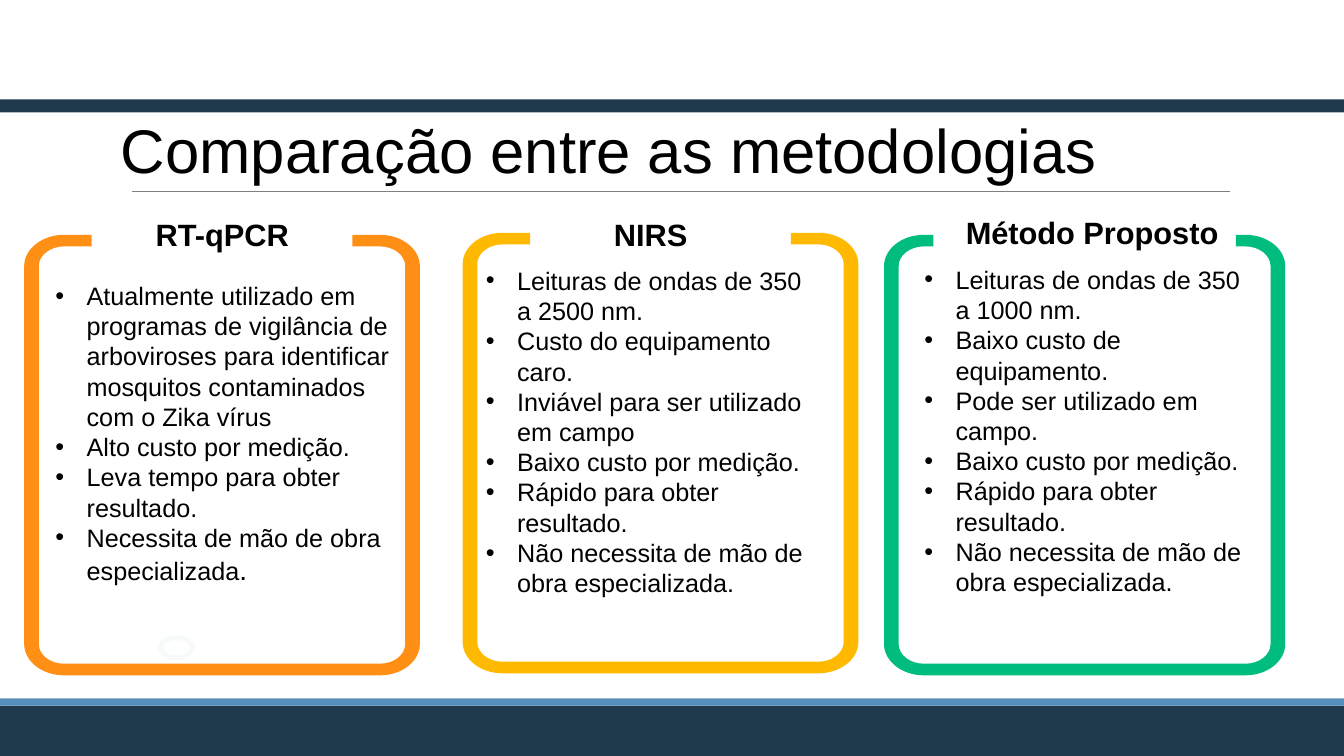
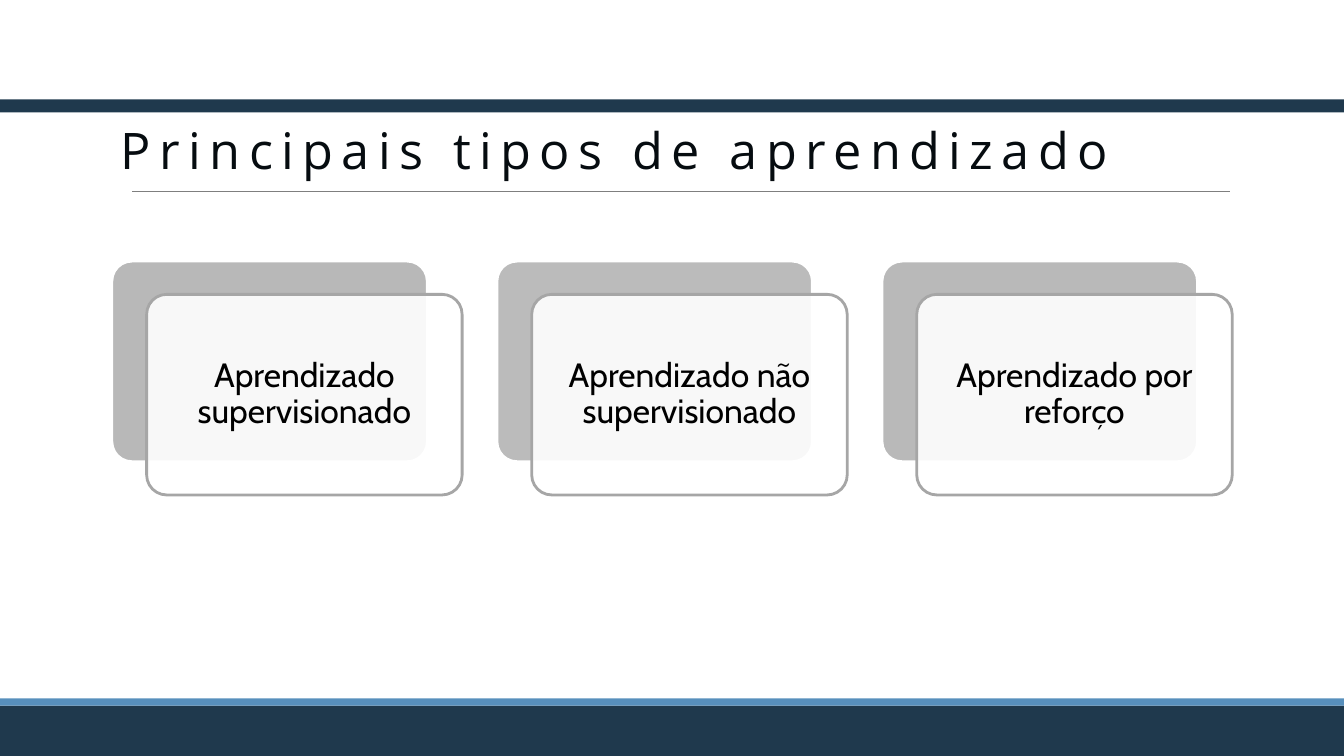
from copy import deepcopy
from dataclasses import dataclass

from lxml import etree
from pptx import Presentation
from pptx.dml.color import RGBColor
from pptx.enum.shapes import MSO_CONNECTOR, MSO_SHAPE
from pptx.enum.text import MSO_ANCHOR, MSO_AUTO_SIZE, PP_ALIGN
from pptx.oxml.ns import qn
from pptx.util import Inches, Pt

RECT, ROUND, RING = MSO_SHAPE.RECTANGLE, MSO_SHAPE.ROUNDED_RECTANGLE, MSO_SHAPE.DONUT
LINE = MSO_CONNECTOR.STRAIGHT
LEFT, CENTER = PP_ALIGN.LEFT, PP_ALIGN.CENTER
MIDDLE, FIXED = MSO_ANCHOR.MIDDLE, MSO_AUTO_SIZE.NONE

CELL = Inches(0.1)  # one column or row of the grid
WIDE, HIGH = 133.33, 75
BEND = 0.45  # distance from a box corner to a curve handle, per radius


@dataclass(frozen=True)
class Theme:
    navy: str = "1F394D"
    blue: str = "578FBC"
    rule: str = "7F7F7F"
    gray: str = "A6A6A6"
    white: str = "FFFFFF"
    black: str = "000000"
    ink: str = "060C10"
    pale: str = "F7FAFB"
    orange: str = "FF8F15"
    amber: str = "FFB900"
    green: str = "00BC7E"
    sans: str = "Arial"
    open: str = "Open Sans"
    cabin: str = "Cabin"
    title: int = 44
    spaced: int = 36
    card: int = 24
    head: int = 22
    stop: int = 20
    body: int = 18


def grid(*cells):
    return [round(cell * CELL) for cell in cells]


def curves(x, y, w, h, rx, ry):
    """Four points for each rounded corner, from top left by way of the bottom."""
    dots = []
    for cx, cy, dx, dy, tall in ((x, y, rx, ry, False), (x, y + h, rx, -ry, True),
                                 (x + w, y + h, -rx, -ry, False),
                                 (x + w, y, -rx, ry, True)):
        turn = [(cx + dx, cy), (cx + BEND * dx, cy),
                (cx, cy + BEND * dy), (cx, cy + dy)]
        dots += reversed(turn) if tall else turn
    return dots


class Deck:
    def __init__(self, theme):
        self.theme = theme
        self.prs = Presentation()
        self.prs.slide_width, self.prs.slide_height = grid(WIDE, HIGH)
        self.slide = None
        self.master = self.prs.slide_master
        self.trio = self.prs.slide_layouts[1]
        self.plain = self.prs.slide_layouts[5]
        self.widen()

    def widen(self):
        """Give the content layout three body placeholders and place the title."""
        body = self.trio.placeholders[1].element
        for idx in (22, 21):
            twin = deepcopy(body)
            twin.xpath(".//p:ph")[0].set("idx", str(idx))
            twin.xpath(".//p:cNvPr")[0].set("id", str(idx))
            body.addnext(twin)
        self.place(self.master.placeholders[0], 12, 11.4, 110, 7.6)

    def place(self, shape, *box):
        shape.left, shape.top, shape.width, shape.height = grid(*box)

    def start(self, layout, text, size, face, tone, gap=0):
        self.slide = self.prs.slides.add_slide(layout)
        frame = self.slide.shapes.title.text_frame
        frame.text = text
        self.fit(frame, 0)
        frame.vertical_anchor = MIDDLE
        para = frame.paragraphs[0]
        para.alignment, para.line_spacing = LEFT, 0.9
        self.style(para, size, face, tone)
        if gap:
            para.runs[0]._r.get_or_add_rPr().set("spc", str(gap * 100))

    def fit(self, frame, side, edge=None):
        frame.word_wrap, frame.auto_size = True, FIXED
        frame.margin_left = frame.margin_right = Inches(side)
        frame.margin_top = frame.margin_bottom = Inches(side if edge is None else edge)

    def style(self, para, size, face, tone, bold=False):
        for run in para.runs:
            font = run.font
            font.size, font.name, font.bold = Pt(size), face, bold
            font.color.rgb = RGBColor.from_string(tone)

    def paint(self, shape, tone, alpha=None, edge=None):
        shape.shadow.inherit = False
        shape.fill.solid()
        shape.fill.fore_color.rgb = RGBColor.from_string(tone)
        if alpha:
            color = shape.element.xpath("./p:spPr/a:solidFill/a:srgbClr")[0]
            etree.SubElement(color, qn("a:alpha")).set("val", str(alpha * 1000))
        if edge:
            shape.line.color.rgb = RGBColor.from_string(edge)
            shape.line.width = Pt(2)
        else:
            shape.line.fill.background()
        return shape

    def shape(self, kind, box, tone, **look):
        return self.paint(self.slide.shapes.add_shape(kind, *grid(*box)), tone, **look)

    def rule(self, *ends):
        line = self.slide.shapes.add_connector(LINE, *grid(*ends))
        line.line.color.rgb = RGBColor.from_string(self.theme.rule)
        line.line.width = Pt(0.75)
        etree.SubElement(line.element.spPr, qn("a:effectLst"))
        return line

    def bands(self):
        """Draw the bands and the title rule, then hand them to the master."""
        look = self.theme
        parts = (
            self.shape(RECT, (0, 70, WIDE, 5), look.navy),
            self.shape(RECT, (0, 69.3, WIDE, 0.7), look.blue),
            self.rule(13.1, 19, 122.05, 19),
            self.shape(RECT, (0, 9.86, WIDE, 1.3), look.navy),
        )
        for num, part in enumerate(parts, 30):
            part.element.xpath(".//p:cNvPr")[0].set("id", str(num))
            self.master.shapes.element.append(part.element)

    def bracket(self, x, y, w, h, lip, tone):
        """Rounded frame, open at the top between two lips."""
        side, edge = 1.45, 1.15
        outer = curves(x, y, w, h, 3.95, 3.1)
        inner = curves(x + side, y + edge, w - 2 * side, h - 2 * edge, 2.5, 1.95)
        near, far = x + lip, x + w - lip
        dots = [(near, y), *outer, (far, y), (far, y + edge),
                *reversed(inner), (near, y + edge)]
        dots = [grid(*dot) for dot in dots]
        pen = self.slide.shapes.build_freeform(*dots[0])
        pen.add_line_segments(dots[1:], close=True)
        shape = self.paint(pen.convert_to_shape(), tone)
        self.bend(shape, (*range(1, 17, 4), *range(19, 35, 4)))

    def bend(self, shape, starts):
        """Turn the three segments after each start into one curve."""
        steps = shape.element.xpath(".//a:lnTo")
        for start in starts:
            curve = etree.Element(qn("a:cubicBezTo"))
            steps[start].addprevious(curve)
            for step in steps[start:start + 3]:
                curve.append(step[0])
                step.getparent().remove(step)

    def head(self, text, *box):
        frame = self.slide.shapes.add_textbox(*grid(*box)).text_frame
        frame.text = text
        self.fit(frame, 0.1, 0.05)
        para = frame.paragraphs[0]
        para.alignment = CENTER
        self.style(para, self.theme.head, self.theme.sans, self.theme.black, True)

    def bullets(self, holder, items, *box):
        self.place(holder, *box)
        frame = holder.text_frame
        frame.text = "\n".join(items)
        self.fit(frame, 0.1, 0.05)
        for para in frame.paragraphs:
            para.space_before = Pt(0)
            props = para._p.get_or_add_pPr()
            props.set("marL", str(Inches(0.31)))
            props.set("indent", str(-Inches(0.31)))
            etree.SubElement(props, qn("a:buChar")).set("char", "•")
            self.style(para, self.theme.body, self.theme.sans, self.theme.black)
        return frame.paragraphs

    def card(self, text, x, y, alpha):
        look, size = self.theme, (31.3, 19.9)
        back = self.shape(ROUND, (x, y, *size), look.gray, alpha=alpha, edge=look.white)
        front = self.shape(ROUND, (x + 3.45, y + 3.3, *size), look.white,
                           alpha=90, edge=look.gray)
        back.adjustments[0] = front.adjustments[0] = 0.1
        frame = front.text_frame
        frame.text = text
        self.fit(frame, 0.1)
        frame.vertical_anchor = MIDDLE
        para = frame.paragraphs[0]
        para.alignment, para.line_spacing = CENTER, 0.9
        self.style(para, look.card, look.cabin, look.black)


def compare(deck):
    look = deck.theme
    deck.start(deck.trio, "Comparação entre as metodologias",
               look.title, look.sans, look.black)
    deck.bands()
    deck.shape(RING, (15.7, 63, 3.6, 2.5), look.pale).adjustments[0] = 0.2
    shared = ["Baixo custo por medição.", "Rápido para obter resultado.",
              "Não necessita de mão de obra especializada."]
    panels = (
        ("RT-qPCR", (9.3, 20.95, 25.5, 4.7),
         (2.4, 23.3, 39.25, 43.7, 6.7, look.orange),
         ["Atualmente utilizado em programas de vigilância de arboviroses para "
          "identificar mosquitos contaminados com o Zika vírus",
          "Alto custo por medição.", "Leva tempo para obter resultado.",
          "Necessita de mão de obra especializada"],
         (4.5, 27.3, 37.4, 31.6)),
        ("NIRS", (51.8, 20.95, 25.5, 4.7),
         (45.9, 23.1, 39.25, 43.7, 6.7, look.amber),
         ["Leituras de ondas de 350 a 2500 nm.", "Custo do equipamento caro.",
          "Inviável para ser utilizado em campo", *shared],
         (47.2, 25.8, 34.7, 34.3)),
        ("Método Proposto", (94.2, 20.7, 28.3, 4.7),
         (87.7, 23.3, 39.8, 43.7, 4.9, look.green),
         ["Leituras de ondas de 350 a 1000 nm.", "Baixo custo de equipamento.",
          "Pode ser utilizado em campo.", *shared],
         (90.7, 25.7, 34.4, 34.3)),
    )
    holders = list(deck.slide.placeholders)[1:]
    lists = []
    for holder, (name, top, frame, items, box) in zip(holders, panels):
        deck.bracket(*frame)
        deck.head(name, *top)
        lists.append(deck.bullets(holder, items, *box))
    last = lists[0][-1]
    last.add_run().text = "."
    deck.style(last, look.body, look.sans, look.black)
    last.runs[-1].font.size = Pt(look.stop)


def kinds(deck):
    look = deck.theme
    deck.start(deck.plain, "Principais tipos de aprendizado",
               look.spaced, look.open, look.ink, gap=6)
    cards = (("Aprendizado supervisionado", 79),
             ("Aprendizado não supervisionado", 76),
             ("Aprendizado por reforço", 78))
    for col, (text, alpha) in enumerate(cards):
        deck.card(text, 11.1 + 38.2 * col, 25.9, alpha)


def main():
    deck = Deck(Theme())
    compare(deck)
    kinds(deck)
    deck.prs.save("out.pptx")


if __name__ == "__main__":
    main()
